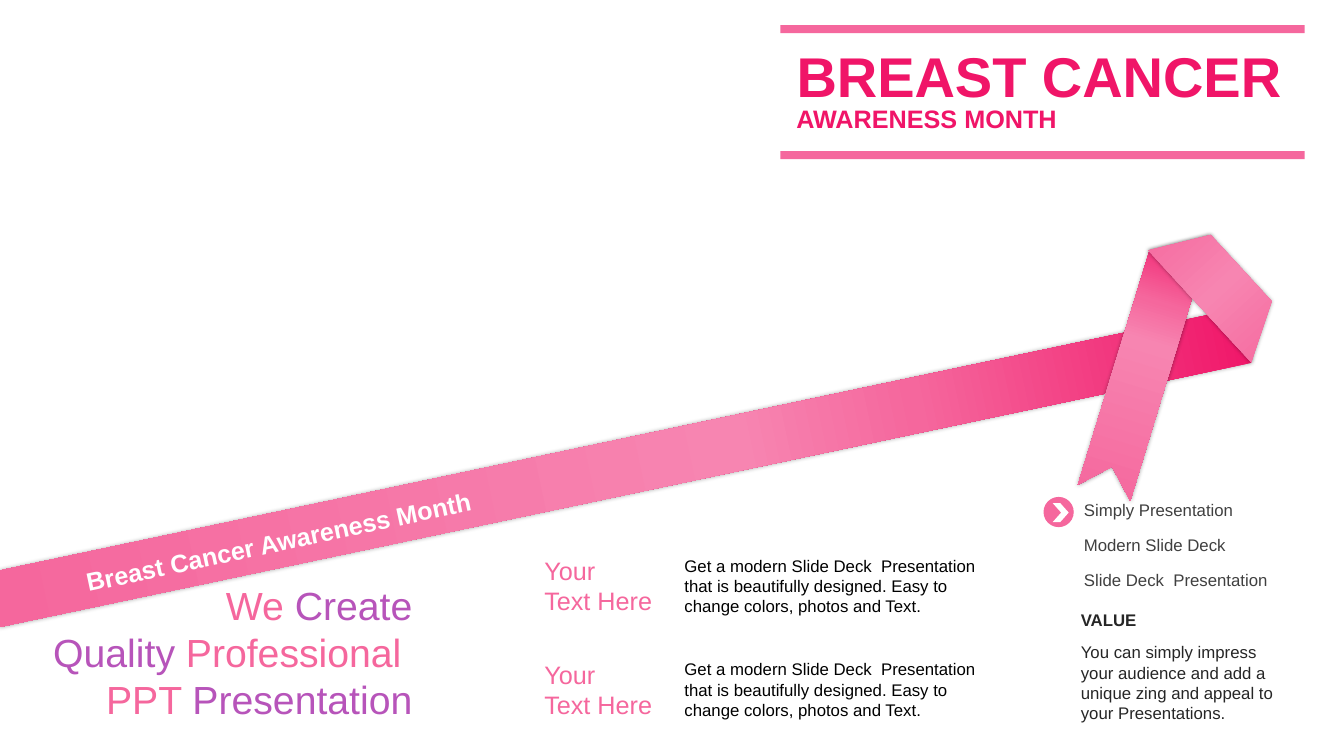
from lxml.etree import SubElement
from pptx import Presentation
from pptx.dml.color import RGBColor
from pptx.enum.shapes import MSO_SHAPE as SHAPE
from pptx.enum.text import MSO_ANCHOR as ANCHOR, MSO_AUTO_SIZE as FIT, PP_ALIGN as ALIGN
from pptx.oxml.ns import qn
from pptx.util import Inches, Pt

COLORS = {
    "hot": "F01568", "pink": "F5679D", "light": "F785B1", "purple": "B754BA",
    "white": "FFFFFF", "black": "000000", "ink": "262626", "gray": "404040",
}
RIBBON_STOPS = [(0, "hot"), (27, "pink"), (41, "light"), (100, "pink")]
FOLD_STOPS = [(0, "pink"), (50, "light"), (100, "pink")]
PADDING = (0.1, 0.05, 0.1, 0.05)


def rgb(name):
    return RGBColor.from_string(COLORS[name])


class Deck:
    def __init__(self, font):
        self.font = font
        self.prs = Presentation()
        self.prs.slide_width, self.prs.slide_height = Inches(13.33), Inches(7.5)
        self.slide = self.prs.slides.add_slide(self.prs.slide_layouts[1])
        self.shapes = self.slide.shapes

    def fill_text(self, sp, paragraphs, size, bold=False, align=ALIGN.LEFT,
                  anchor=ANCHOR.TOP, padding=PADDING, gap=0):
        """Fill sp; each paragraph is a list of (text, color) runs."""
        tf = sp.text_frame
        tf.word_wrap, tf.auto_size, tf.vertical_anchor = True, FIT.NONE, anchor
        (tf.margin_left, tf.margin_top,
         tf.margin_right, tf.margin_bottom) = map(Inches, padding)
        for i, runs in enumerate(paragraphs):
            p = tf.add_paragraph() if i else tf.paragraphs[0]
            p.alignment, p.space_before, p.space_after = align, Pt(0), Pt(gap)
            for text, color in runs:
                r = p.add_run()
                r.text = text
                r.font.name, r.font.size, r.font.bold = self.font, Pt(size), bold
                r.font.color.rgb = rgb(color)
        return sp

    def text(self, box, paragraphs, size, **style):
        sp = self.shapes.add_textbox(*map(Inches, box))
        return self.fill_text(sp, paragraphs, size, **style)

    def placeholder(self, index, box, paragraphs, size, **style):
        sp = self.slide.placeholders[index]
        sp.left, sp.top, sp.width, sp.height = map(Inches, box)
        self.fill_text(sp, paragraphs, size, **style)
        for p in sp.text_frame.paragraphs:
            pPr = p._p.get_or_add_pPr()
            pPr.set("marL", "0")
            pPr.set("indent", "0")
            SubElement(pPr, qn("a:buNone"))

    def shape(self, kind, box, color=None):
        sp = self.shapes.add_shape(kind, *map(Inches, box))
        sp.shadow.inherit = False
        sp.line.fill.background()
        if color:
            sp.fill.solid()
            sp.fill.fore_color.rgb = rgb(color)
        return sp

    def freeform(self, points):
        start, *rest = [(Inches(x), Inches(y)) for x, y in points]
        builder = self.shapes.build_freeform(*start, scale=1.0)
        builder.add_line_segments(rest, close=True)
        sp = builder.convert_to_shape()
        sp.shadow.inherit = False
        sp.line.fill.background()
        return sp

    def satin(self, sp, stops, angle):
        """Give sp a linear gradient (clockwise angle) and a soft shadow."""
        sp.fill.gradient()
        grad = sp._element.spPr.find(qn("a:gradFill"))
        for child in list(grad):
            grad.remove(child)
        stop_list = SubElement(grad, qn("a:gsLst"))
        for position, color in stops:
            stop = SubElement(stop_list, qn("a:gs"), pos=str(position * 1000))
            SubElement(stop, qn("a:srgbClr"), val=COLORS[color])
        SubElement(grad, qn("a:lin"), ang=str(angle * 60000), scaled="0")
        effects = sp._element.spPr.find(qn("a:effectLst"))
        shadow = SubElement(effects, qn("a:outerShdw"), blurRad=str(int(Pt(3))),
                            dist="0", dir="0", algn="ctr", rotWithShape="0")
        shade = SubElement(shadow, qn("a:srgbClr"), val=COLORS["black"])
        SubElement(shade, qn("a:alpha"), val="40000")


def add_heading(deck):
    deck.placeholder(0, (7.8, 0.36, 5.14, 0.77), [[("BREAST CANCER", "hot")]],
                     40, bold=True, align=ALIGN.JUSTIFY)
    deck.text((7.8, 0.98, 5.14, 0.4), [[("AWARENESS MONTH", "hot")]],
              18, bold=True, align=ALIGN.JUSTIFY)
    for top in (0.25, 1.5):
        deck.shape(SHAPE.RECTANGLE, (7.74, top, 5.2, 0.08), "pink")


def add_messages(deck):
    for top in (5.46, 6.49):
        deck.text((5.3, top, 1.49, 0.71),
                  [[("Your", "pink")], [("Text Here", "pink")]], 18)
        deck.text((6.69, top, 3.3, 0.71),
                  [[("Get a modern Slide Deck  Presentation that is beautifully "
                     "designed. Easy to change colors, photos and Text.", "black")]], 12)
    deck.text((0.17, 5.76, 3.96, 1.41),
              [[("We ", "pink"), ("Create", "purple")],
               [("Quality ", "purple"), ("Professional ", "pink")],
               [("PPT ", "pink"), ("Presentation", "purple")]],
              28, align=ALIGN.RIGHT, anchor=ANCHOR.MIDDLE, padding=(0.04, 0, 0.04, 0))


def add_value_column(deck):
    items = ("Simply Presentation", "Modern Slide Deck", "Slide Deck  Presentation")
    deck.placeholder(1, (10.65, 4.91, 2.11, 0.97),
                     [[(item, "gray")] for item in items], 12, gap=10.4)
    deck.shape(SHAPE.OVAL, (10.35, 4.93, 0.3, 0.3), "pink")
    chevron = deck.shape(SHAPE.CHEVRON, (10.44, 4.99, 0.16, 0.19), "white")
    chevron.adjustments[0] = 0.53
    deck.text((10.72, 6.05, 2.03, 0.2), [[("VALUE", "ink")]], 12,
              bold=True, padding=(0, 0, 0, 0))
    deck.text((10.72, 6.37, 2.02, 0.81),
              [[("You can simply impress your audience and add a unique zing "
                 "and appeal to your Presentations.", "ink")]],
              12, padding=(0, 0, 0, 0))


def add_ribbon(deck):
    band = deck.freeform([(12.29, 3.06), (12.41, 3.6), (0, 6.22), (0, 5.66)])
    deck.satin(band, RIBBON_STOPS, 168)
    tail = deck.freeform([(12.01, 2.34), (11.21, 4.97), (11.03, 4.63),
                          (10.69, 4.81), (11.4, 2.49)])
    deck.satin(tail, RIBBON_STOPS, 107)
    fold = deck.shape(SHAPE.TRAPEZOID, (11.35, 2.57, 1.51, 0.56))
    fold.adjustments[0] = 0.55
    fold.rotation = 47.4
    deck.satin(fold, FOLD_STOPS, 180)
    label = deck.text((0.66, 4.62, 9.39, 0.4),
                      [[("Breast Cancer Awareness Month", "white")]],
                      18, bold=True, align=ALIGN.JUSTIFY)
    label.rotation = 348


def main():
    deck = Deck("Arial")
    add_heading(deck)
    add_messages(deck)
    add_value_column(deck)
    add_ribbon(deck)
    deck.prs.save("out.pptx")


if __name__ == "__main__":
    main()
